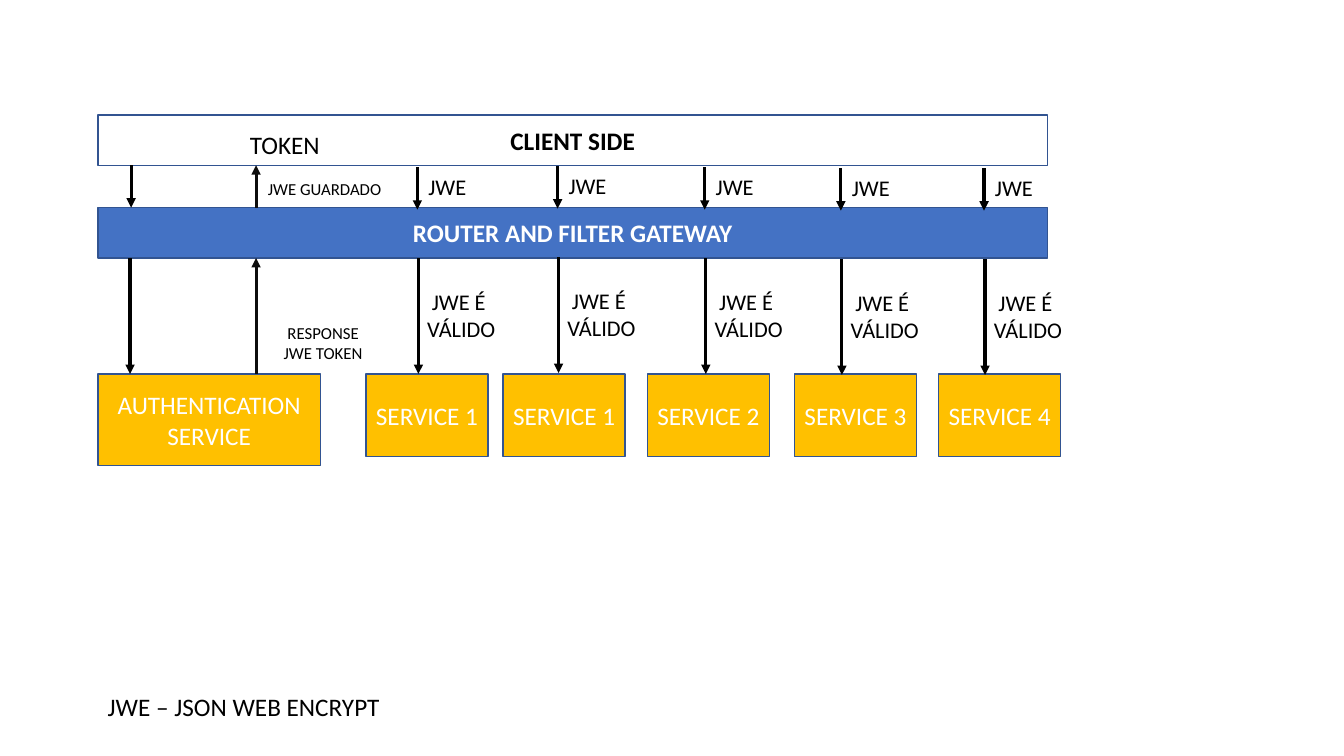
from lxml.etree import SubElement
from pptx import Presentation
from pptx.dml.color import RGBColor
from pptx.enum.shapes import MSO_CONNECTOR, MSO_SHAPE
from pptx.enum.text import MSO_ANCHOR, MSO_AUTO_SIZE, PP_ALIGN
from pptx.oxml.ns import qn
from pptx.util import Inches, Pt

WHITE = RGBColor(0xFF, 0xFF, 0xFF)
BLACK = RGBColor(0, 0, 0)
NEAR_BLACK = RGBColor(0x0D, 0x0D, 0x0D)
BLUE = RGBColor(0x44, 0x72, 0xC4)
NAVY = RGBColor(0x32, 0x54, 0x91)
AMBER = RGBColor(0xFF, 0xC0, 0x00)
FONT = "Calibri"

# Content: layers as (text, top, fill, text colour)
LAYERS = [
    ("CLIENT SIDE", 1.14, WHITE, BLACK),
    ("ROUTER AND FILTER GATEWAY", 2.06, BLUE, WHITE),
]
# Service lanes as (name, box left, arrow x, vertical shift)
LANES = [
    ("SERVICE 1", 3.63, 4.14, 0),
    ("SERVICE 1", 4.99, 5.53, -0.01),
    ("SERVICE 2", 6.42, 6.99, 0),
    ("SERVICE 3", 7.88, 8.34, 0.01),
    ("SERVICE 4", 9.31, 9.76, 0.01),
]
REQUEST_LABEL = ["JWE"]
VALID_LABEL = ["JWE É ", "VÁLIDO"]
# Single labels as (lines, box, size, alignment)
LABELS = [
    (["JWE GUARDADO"], (2.55, 1.72, 1.34, 0.3), 12, PP_ALIGN.CENTER),
    (["JWE – JSON WEB ENCRYPT"], (0.97, 6.81, 2.92, 0.4), 18, PP_ALIGN.LEFT),
    (["RESPONSE", "JWE TOKEN"], (2.71, 3.15, 0.99, 0.5), 12, PP_ALIGN.CENTER),
    (["TOKEN"], (2.38, 1.23, 0.9, 0.4), 18, PP_ALIGN.LEFT),
]

# Shared edges
LEFT, LAYER_W, LAYER_H = 0.97, 9.42, 0.5
CLIENT_BOTTOM, GATEWAY_TOP, GATEWAY_BOTTOM = 1.64, 2.06, 2.56
SERVICE_TOP = 3.71
LOGIN_X, TOKEN_X = 1.3, 2.54

deck = Presentation()
deck.slide_width, deck.slide_height = Inches(13.33), Inches(7.5)
slide = deck.slides.add_slide(deck.slide_layouts[6])


def write(frame, lines, size, color, align, bold=False):
    for index, line in enumerate(lines):
        paragraph = frame.paragraphs[0] if index == 0 else frame.add_paragraph()
        paragraph.alignment = align
        run = paragraph.add_run()
        run.text = line
        run.font.name, run.font.size = FONT, Pt(size)
        run.font.bold = bold
        run.font.color.rgb = color


def add_block(text, box, fill, color=WHITE, bold=False):
    block = slide.shapes.add_shape(MSO_SHAPE.RECTANGLE, *map(Inches, box))
    block.shadow.inherit = False
    block.fill.solid()
    block.fill.fore_color.rgb = fill
    block.line.color.rgb, block.line.width = NAVY, Pt(1)
    frame = block.text_frame
    frame.word_wrap = True
    frame.vertical_anchor = MSO_ANCHOR.MIDDLE
    frame.margin_left = frame.margin_right = Inches(0.05)
    write(frame, [text], 18, color, PP_ALIGN.CENTER, bold)


def add_label(lines, box, size, align):
    frame = slide.shapes.add_textbox(*map(Inches, box)).text_frame
    frame.word_wrap = False
    frame.auto_size = MSO_AUTO_SIZE.SHAPE_TO_FIT_TEXT
    write(frame, lines, size, BLACK, align)


def add_arrow(x, start, end, color=BLACK):
    arrow = slide.shapes.add_connector(
        MSO_CONNECTOR.STRAIGHT, *map(Inches, (x, start, x, end)))
    arrow.line.color.rgb, arrow.line.width = color, Pt(2.25)
    SubElement(arrow.line._get_or_add_ln(), qn("a:tailEnd"), type="triangle")
    SubElement(arrow._element.spPr, qn("a:effectLst"))


# Layers and authentication service
for text, top, fill, color in LAYERS:
    add_block(text, (LEFT, top, LAYER_W, LAYER_H), fill, color, bold=True)
add_block("AUTHENTICATION SERVICE", (LEFT, SERVICE_TOP, 2.21, 0.91), AMBER)

# Login goes down, token comes back up
add_arrow(LOGIN_X, CLIENT_BOTTOM, GATEWAY_TOP)
add_arrow(LOGIN_X - 0.01, GATEWAY_BOTTOM, SERVICE_TOP)
add_arrow(TOKEN_X, SERVICE_TOP, GATEWAY_BOTTOM, NEAR_BLACK)
add_arrow(TOKEN_X, GATEWAY_TOP, CLIENT_BOTTOM, NEAR_BLACK)

# Service lanes
for name, left, x, shift in LANES:
    add_block(name, (left, SERVICE_TOP, 1.21, 0.82), AMBER)
    add_arrow(x, CLIENT_BOTTOM + 0.02 + shift, GATEWAY_TOP + 0.02 + shift)
    add_arrow(x + 0.01, GATEWAY_BOTTOM + shift, SERVICE_TOP + shift)
    add_label(REQUEST_LABEL, (x + 0.01, 1.67 + shift, 0.58, 0.37), 16, PP_ALIGN.LEFT)
    add_label(VALID_LABEL, (x - 0.01, 2.81 + shift, 0.89, 0.64), 16, PP_ALIGN.CENTER)

for label in LABELS:
    add_label(*label)

deck.save("out.pptx")
